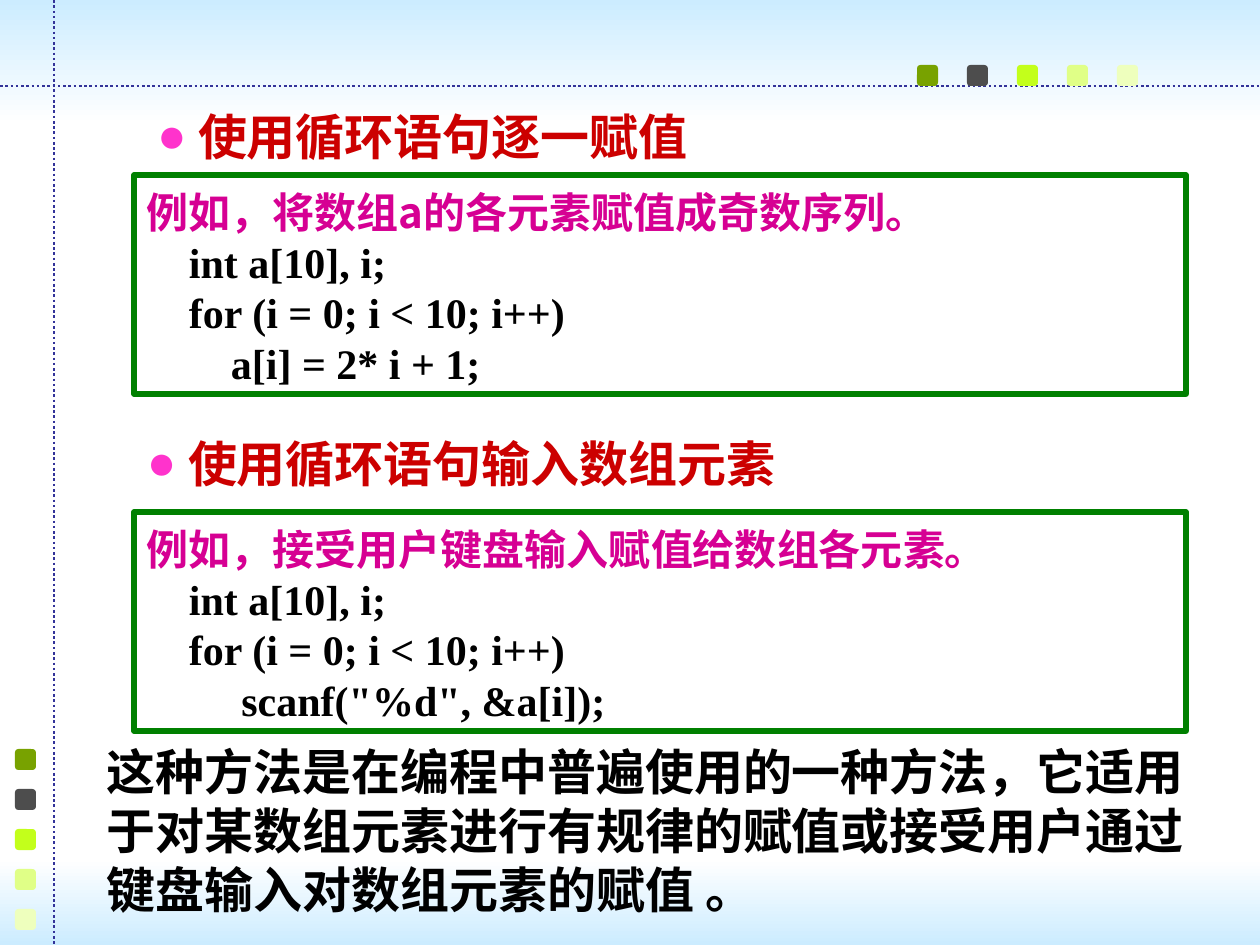
from dataclasses import dataclass
from lxml.etree import SubElement
from pptx import Presentation
from pptx.dml.color import RGBColor
from pptx.enum.dml import MSO_LINE
from pptx.enum.shapes import MSO_CONNECTOR, MSO_SHAPE
from pptx.enum.text import MSO_ANCHOR, MSO_AUTO_SIZE, PP_ALIGN
from pptx.oxml.ns import qn
from pptx.util import Pt


@dataclass(frozen=True)
class Theme:
    """Colours, fonts and type sizes."""
    sky: str = "CCECFF"
    white: str = "FFFFFF"
    rule: str = "333399"
    dots: tuple = ("78A200", "4D4D4D", "C3FF1B", "E0FF87", "EEFFBD")
    bullet: str = "FF33CC"
    head: str = "CC0000"
    frame: str = "008000"
    intro: str = "D60093"
    ink: str = "000000"
    sans: str = "Noto Sans CJK SC"
    serif: str = "Times New Roman"
    large: int = 28
    small: int = 24
    pitch: float = 1.2


LOOK = Theme()
WIDE, HIGH = 1260, 945


def px(num):
    """Turn px into EMU."""
    return round(num * 914400 / 126)


def rgb(code):
    """Read a hex colour."""
    return RGBColor.from_string(code)


def paint(slide, kind, box, color=None):
    """Add a preset shape with no line and a plain fill, if any."""
    shape = slide.shapes.add_shape(kind, *map(px, box))
    shape.shadow.inherit = False
    shape.line.fill.background()
    if color:
        shape.fill.solid()
        shape.fill.fore_color.rgb = rgb(color)
    else:
        shape.fill.background()
    return shape


def fade(slide, box, top, base):
    """Add a band that fades downward."""
    fill = paint(slide, MSO_SHAPE.RECTANGLE, box).fill
    fill.gradient()
    fill.gradient_angle = 270
    for stop, color, place in zip(fill.gradient_stops, (top, base), (0, 1)):
        stop.color.rgb = rgb(color)
        stop.position = place


def rule(slide, left, top, right, base):
    """Add a dotted rule."""
    line = slide.shapes.add_connector(
        MSO_CONNECTOR.STRAIGHT, *map(px, (left, top, right, base)))
    line.line.color.rgb = rgb(LOOK.rule)
    line.line.width = Pt(1.5)
    line.line.dash_style = MSO_LINE.ROUND_DOT
    SubElement(line.element.spPr, qn("a:effectLst"))


def trail(slide, left, top, across, down):
    """Add a row or column of rounded squares."""
    for step, color in enumerate(LOOK.dots):
        box = left + step * across, top + step * down, 21, 21
        paint(slide, MSO_SHAPE.ROUNDED_RECTANGLE, box, color)


def setup(shape):
    """Set the insets and wrapping of a text shape."""
    frame = shape.text_frame
    frame.word_wrap = True
    frame.auto_size = MSO_AUTO_SIZE.NONE
    frame.vertical_anchor = MSO_ANCHOR.TOP
    frame.margin_left = frame.margin_right = px(13)
    frame.margin_top, frame.margin_bottom = px(11), 0
    return frame


def write(para, text, size, color, face):
    """Add one bold run to a paragraph with a fixed pitch."""
    para.alignment = PP_ALIGN.LEFT
    para.space_before = Pt(0)
    para.line_spacing = Pt(size * LOOK.pitch)
    run = para.add_run()
    run.text = text
    font = run.font
    font.size, font.bold, font.name = Pt(size), True, face
    font.color.rgb = rgb(color)
    SubElement(run._r.get_or_add_rPr(), qn("a:ea"), typeface=LOOK.sans)


def heading(shape, box, text):
    """Fill a body placeholder with one bulleted heading."""
    shape.left, shape.top, shape.width, shape.height = map(px, box)
    node = shape.element
    node.getparent().append(node)
    para = setup(shape).paragraphs[0]
    write(para, text, LOOK.large, LOOK.head, LOOK.sans)
    props = para._p.get_or_add_pPr()
    props.set("marL", str(px(41)))
    props.set("indent", str(-px(41)))
    tint = SubElement(props, qn("a:buClr"))
    SubElement(tint, qn("a:srgbClr"), val=LOOK.bullet)
    SubElement(props, qn("a:buFont"), typeface=LOOK.serif)
    SubElement(props, qn("a:buChar"), char="●")


def sample(slide, box, intro, face, code):
    """Add a framed example: an intro line and its code."""
    shape = paint(slide, MSO_SHAPE.RECTANGLE, box)
    shape.line.color.rgb = rgb(LOOK.frame)
    shape.line.width = Pt(3)
    frame = setup(shape)
    write(frame.paragraphs[0], intro, LOOK.small, LOOK.intro, face)
    for line in code:
        write(frame.add_paragraph(), line, LOOK.small, LOOK.ink, LOOK.serif)


def closing(slide, box, text):
    """Add the closing remark."""
    frame = setup(slide.shapes.add_textbox(*map(px, box)))
    write(frame.paragraphs[0], text, LOOK.large, LOOK.ink, LOOK.sans)


def backdrop(slide):
    """Draw the bands, rules and squares."""
    fade(slide, (0, 0, WIDE, 125), LOOK.sky, LOOK.white)
    fade(slide, (0, 859, WIDE, 86), LOOK.white, LOOK.sky)
    rule(slide, 0, 86, WIDE, 86)
    trail(slide, 917, 65, 50, 0)
    trail(slide, 15, 749, 0, 40)
    rule(slide, 54, 0, 54, HIGH)


def main():
    """Build and save the slide."""
    deck = Presentation()
    deck.slide_width, deck.slide_height = px(WIDE), px(HIGH)
    slide = deck.slides.add_slide(deck.slide_layouts[3])
    title, first, second = slide.placeholders
    title.element.getparent().remove(title.element)
    backdrop(slide)
    start = "    int a[10], i;", "    for (i = 0; i < 10; i++)"
    heading(first, (144, 96, 578, 72), "使用循环语句逐一赋值")
    sample(slide, (134, 175, 1052, 219),
           "例如，将数组a的各元素赋值成奇数序列。", LOOK.sans,
           (*start, "        a[i] = 2* i + 1;"))
    heading(second, (134, 423, 702, 72), "使用循环语句输入数组元素")
    sample(slide, (134, 512, 1052, 219),
           "例如，接受用户键盘输入赋值给数组各元素。", LOOK.serif,
           (*start, '         scanf("%d", &a[i]);'))
    closing(slide, (94, 731, 1121, 189),
            "这种方法是在编程中普遍使用的一种方法，它适用于对某数组元素进行"
            "有规律的赋值或接受用户通过键盘输入对数组元素的赋值 。")
    deck.save("out.pptx")


if __name__ == "__main__":
    main()
